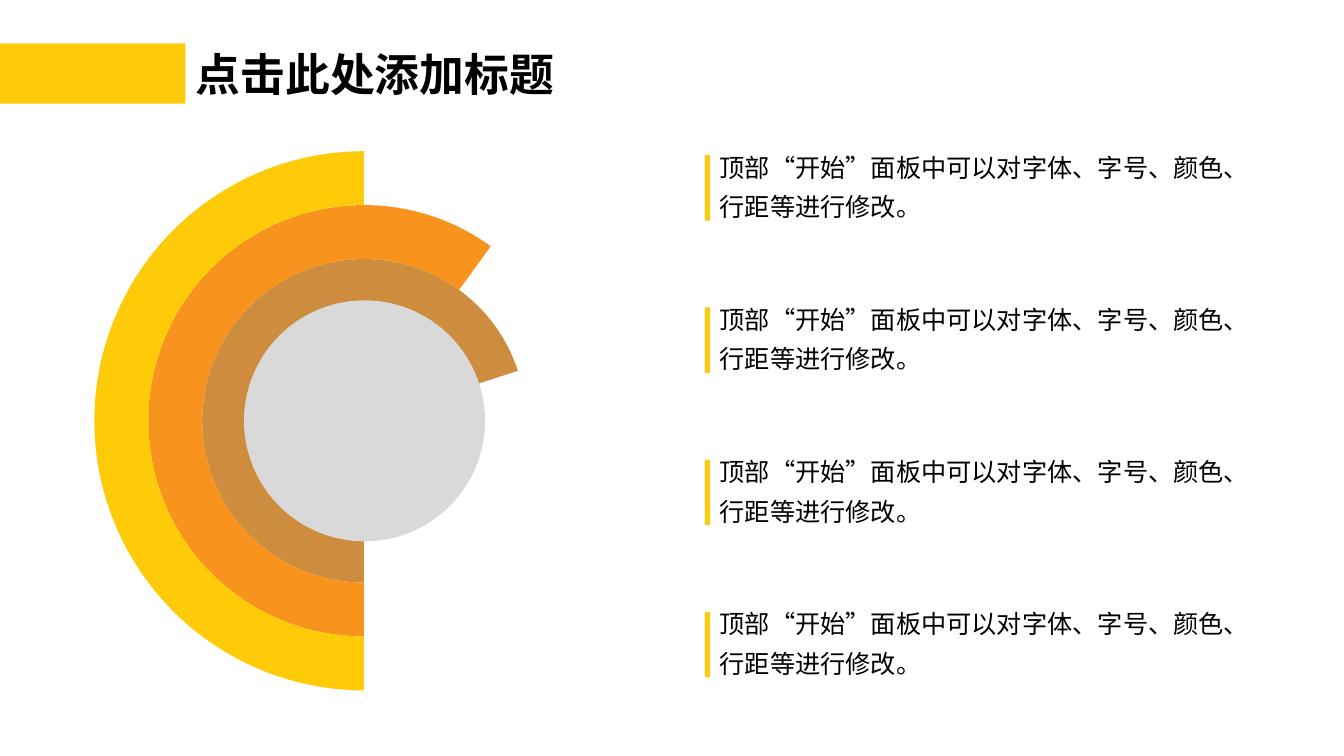
from lxml import etree
from pptx import Presentation, util as u
from pptx.chart import data as cd
from pptx.dml import color
from pptx.enum import chart as ch, shapes, text
from pptx.oxml import ns

FONT = "Noto Sans CJK SC"
GOLD = "FFCA08"


def paint(fill, tone):
    fill.solid()
    fill.fore_color.rgb = color.RGBColor.from_string(tone)


def write(frame, words, size, bold, space):
    frame.text = words
    frame.auto_size = text.MSO_AUTO_SIZE.SHAPE_TO_FIT_TEXT
    frame.vertical_anchor = text.MSO_ANCHOR.TOP
    for para in frame.paragraphs:
        para.alignment = text.PP_ALIGN.LEFT
        para.line_spacing = space
        for run in para.runs:
            font = run.font
            font.size, font.bold, font.name = u.Pt(size), bold, FONT
            paint(font.fill, "000000")
            east = etree.SubElement(run._r.get_or_add_rPr(), ns.qn("a:ea"))
            east.set("typeface", FONT)


deck = Presentation()
deck.slide_width, deck.slide_height = u.Inches(13.33), u.Inches(7.5)
slide = deck.slides.add_slide(deck.slide_layouts[5])
items = slide.shapes

title = items.title
title.left, title.top, title.width, title.height = map(u.Inches, (1.84, 0.41, 3.79, 0.64))
write(title.text_frame, "点击此处添加标题", 32, True, 1.0)
title.text_frame.word_wrap = False

rings = [(80, "EC7016"), (70, "CE8D3E"), (60, "F8931D"), (50, GOLD)]
data = cd.CategoryChartData()
data.categories = ["1", "2"]
for num, (share, tone) in enumerate(rings, 1):
    data.add_series(f"Series {num}", (share, 100 - share))
chart = items.add_chart(ch.XL_CHART_TYPE.DOUGHNUT, *map(u.Inches, (0.55, 1.26, 6.11, 5.59)), data).chart
chart.has_legend = chart.has_title = False
chart.font.size, chart.font.name = u.Pt(10), FONT
paint(chart.font.fill, "000000")
plot = chart.plots[0]
plot.vary_by_categories = False
for row, (share, tone) in zip(plot.series, rings):
    for spot in (0, 1):
        look = row.points[spot].format
        look.line.fill.background()
        if spot:
            look.fill.background()
        else:
            paint(look.fill, tone)

ring = plot._element
for tag, val in (("c:firstSliceAng", "180"), ("c:holeSize", "49")):
    node = ring.find(ns.qn(tag))
    if node is None:
        node = etree.SubElement(ring, ns.qn(tag))
    node.set("val", val)
area = ring.getparent()
for old in area.findall(ns.qn("c:layout")):
    area.remove(old)
frame = etree.Element(ns.qn("c:layout"))
area.insert(0, frame)
inner = etree.SubElement(frame, ns.qn("c:manualLayout"))
for tag, val in (("layoutTarget", "inner"), ("xMode", "edge"), ("yMode", "edge"),
                 ("x", "0.063"), ("y", "0.043"), ("w", "0.876"), ("h", "0.957")):
    etree.SubElement(inner, ns.qn("c:" + tag)).set("val", val)

RECT, OVAL = shapes.MSO_SHAPE.RECTANGLE, shapes.MSO_SHAPE.OVAL
tops = [1.54 + 1.51 * row for row in range(4)]
blocks = [(RECT, 0, 0.43, 1.84, 0.6, GOLD), (OVAL, 2.42, 2.98, 2.39, 2.39, "D9D9D9")]
blocks += [(RECT, 6.99, top, 0.05, 0.65, GOLD) for top in tops]
for kind, left, top, width, height, tone in blocks:
    block = items.add_shape(kind, *map(u.Inches, (left, top, width, height)))
    block.shadow.inherit = False
    block.line.fill.background()
    paint(block.fill, tone)

for top in tops:
    note = items.add_textbox(*map(u.Inches, (7.04, top - 0.17, 6.67, 0.89))).text_frame
    write(note, "顶部“开始”面板中可以对字体、字号、颜色、\n行距等进行修改。", 18, False, 1.3)
    note.word_wrap = True

deck.save("out.pptx")
